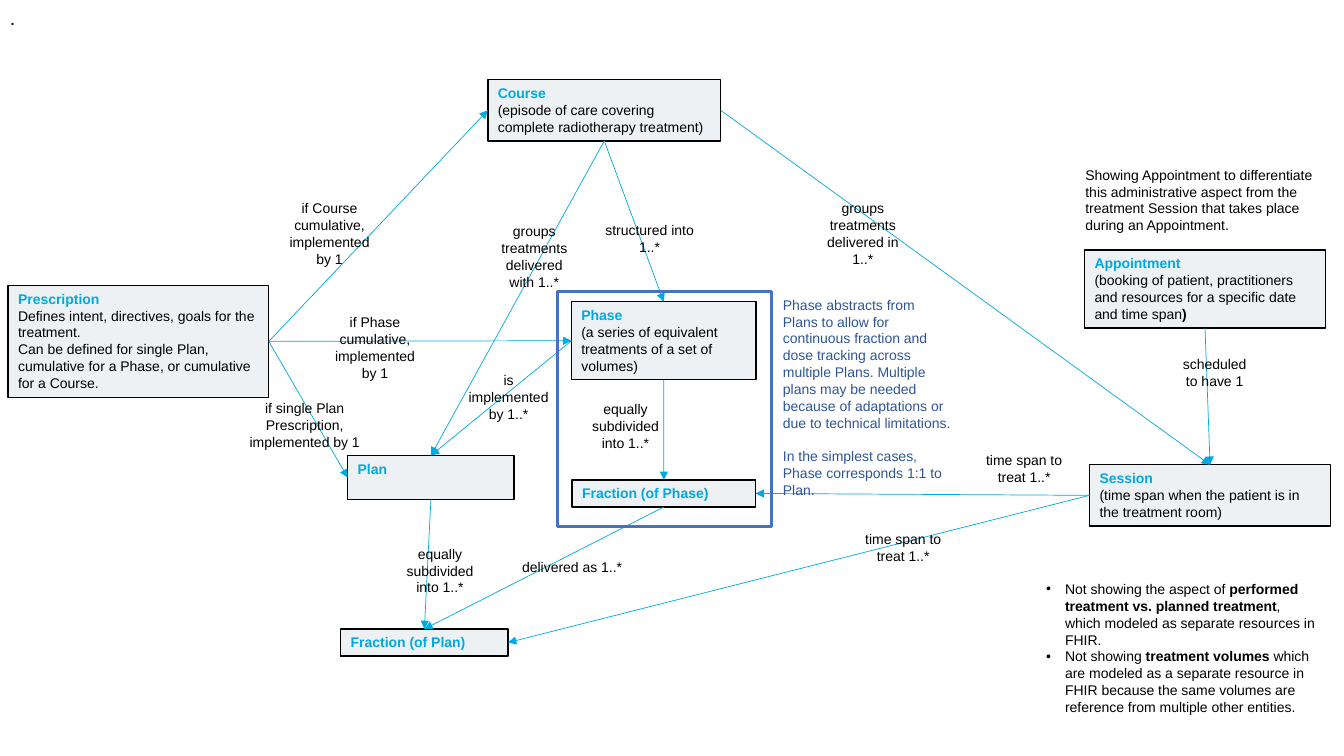
from dataclasses import dataclass
from typing import NamedTuple

from lxml import etree
from pptx import Presentation
from pptx.dml.color import RGBColor
from pptx.enum.shapes import MSO_CONNECTOR, MSO_SHAPE
from pptx.enum.text import MSO_ANCHOR, PP_ALIGN
from pptx.oxml.ns import qn
from pptx.util import Pt

RECTANGLE = MSO_SHAPE.RECTANGLE
STRAIGHT = MSO_CONNECTOR.STRAIGHT
ANCHOR_TOP = MSO_ANCHOR.TOP
LEFT_ALIGN, CENTER_ALIGN = PP_ALIGN.LEFT, PP_ALIGN.CENTER
TOP, LEFT, BOTTOM, RIGHT = range(4)  # connection sites of a rectangle

COLORS = {"text": "000000", "title": "00A9E0", "link": "00A9E0", "box": "EDF1F3",
          "border": "000000", "frame": "4472C4", "note": "2F5597"}
FONT = "Arial"
LINE_HEIGHT, VERTICAL_INSETS = 12.15, 7.2


class Span(NamedTuple):
    """A stretch of text with one format."""
    text: str
    bold: bool = False
    color: str = "text"


@dataclass(frozen=True)
class Entity:
    """A titled box of the model, as high as its lines of text."""
    title: str
    left: float
    top: float
    width: float
    lines: int
    body: tuple[tuple[Span, ...], ...] = ()


class Link(NamedTuple):
    """An arrow between the sides of two entities."""
    source: str
    source_side: int
    target: str
    target_side: int


class Label(NamedTuple):
    """Centred words beside a link; a line feed starts a new paragraph."""
    text: str
    left: float
    top: float
    width: float
    lines: int


ENTITIES = [
    Entity("Course", 348.5, 57, 166.3, 3,
           ((Span("(episode of care covering complete radiotherapy treatment)"),),)),
    Entity("Fraction (of Plan)", 243.4, 449.3, 119.5, 1),
    Entity("Prescription", 5.8, 203.8, 186.2, 6,
           ((Span("Defines intent, directives, goals for the treatment."),),
            (Span("Can be defined for single Plan, cumulative for a Phase, "
                  "or cumulative for a Course."),))),
    Entity("Phase", 408.2, 215.5, 131.8, 4,
           ((Span("(a series of equivalent treatments of a set of volumes)"),),)),
    Entity("Session", 778.3, 332, 172.1, 3,
           ((Span("(time span when the patient is in the treatment room)"),),)),
    Entity("Plan", 248.4, 325.4, 118.8, 2),
    Entity("Fraction (of Phase)", 408.7, 342.8, 131, 1),
    Entity("Appointment", 774.7, 178.5, 172.1, 4,
           ((Span("(booking of patient, practitioners and resources for a specific "
                  "date and time span"), Span(")", bold=True)),)),
]

LINKS = [
    Link("Prescription", RIGHT, "Course", LEFT),
    Link("Prescription", RIGHT, "Phase", LEFT),
    Link("Prescription", RIGHT, "Plan", LEFT),
    Link("Course", BOTTOM, "Phase", TOP),
    Link("Course", BOTTOM, "Plan", TOP),
    Link("Course", RIGHT, "Session", TOP),
    Link("Phase", LEFT, "Plan", TOP),
    Link("Phase", BOTTOM, "Fraction (of Phase)", TOP),
    Link("Plan", BOTTOM, "Fraction (of Plan)", TOP),
    Link("Fraction (of Phase)", BOTTOM, "Fraction (of Plan)", TOP),
    Link("Appointment", BOTTOM, "Session", TOP),
    Link("Session", LEFT, "Fraction (of Phase)", RIGHT),
    Link("Session", LEFT, "Fraction (of Plan)", RIGHT),
]

LABELS = [
    Label("if Course cumulative, implemented by 1", 199.4, 139, 72, 4),
    Label("if Phase cumulative, implemented by 1", 227.5, 220.5, 80.6, 4),
    Label("if single Plan Prescription, implemented by 1", 169, 281.8, 97.2, 3),
    Label("groups treatments delivered with 1..*", 346.3, 155.5, 70.6, 4),
    Label("groups treatments delivered in 1..*", 581, 139, 70.6, 4),
    Label("structured into 1..*", 418.3, 154.8, 91.4, 2),
    Label("is\nimplemented\nby 1..*", 326.9, 262, 72.7, 3),
    Label("equally subdivided into 1..*", 412.6, 282.5, 68.4, 3),
    Label("equally subdivided into 1..*", 280.1, 386, 68.4, 3),
    Label("delivered as 1..*", 351.4, 395.3, 114.5, 1),
    Label("time span to treat 1..*", 696.2, 319, 70.6, 2),
    Label("time span to treat 1..*", 609.8, 375.3, 70.6, 2),
    Label("scheduled to have 1", 832.3, 250.5, 70.6, 2),
]

PHASE_NOTE = [
    [Span("Phase abstracts from Plans to allow for continuous fraction and dose tracking "
          "across multiple Plans. Multiple plans may be needed because of adaptations or "
          "due to technical limitations.", color="note")],
    [Span("In the simplest cases, Phase corresponds 1:1 to Plan.", color="note")],
]
APPOINTMENT_NOTE = [[Span(
    "Showing Appointment to differentiate this administrative aspect from the treatment "
    "Session that takes place during an Appointment.")]]
SCOPE_NOTE = [
    [Span("Not showing the aspect of "),
     Span("performed treatment vs. planned treatment", bold=True),
     Span(", which modeled as separate resources in FHIR.")],
    [Span("Not showing "), Span("treatment volumes ", bold=True),
     Span("which are modeled as a separate resource in FHIR because the same volumes are "
          "reference from multiple other entities.")],
]


def text_height(lines: int) -> float:
    """Return the height that holds the given number of lines."""
    return VERTICAL_INSETS + LINE_HEIGHT * lines


def write_text(shape, paragraphs, *, size=10, align=LEFT_ALIGN, gap=0, spacing=None,
               bullet_indent=0) -> None:
    """Fill a shape with paragraphs of spans."""
    frame = shape.text_frame
    frame.word_wrap = True
    frame.vertical_anchor = ANCHOR_TOP
    for index, spans in enumerate(paragraphs):
        paragraph = frame.add_paragraph() if index else frame.paragraphs[0]
        paragraph.alignment = align
        paragraph.line_spacing = spacing
        paragraph.space_before = Pt(gap if index else 0)
        if bullet_indent:
            properties = paragraph._p.get_or_add_pPr()
            properties.set("marL", str(Pt(bullet_indent)))
            properties.set("indent", str(-Pt(bullet_indent)))
            etree.SubElement(properties, qn("a:buFont")).set("typeface", FONT)
            etree.SubElement(properties, qn("a:buChar")).set("char", "•")
        for span in spans:
            run = paragraph.add_run()
            run.text = span.text
            run.font.name, run.font.size, run.font.bold = FONT, Pt(size), span.bold
            run.font.color.rgb = RGBColor.from_string(COLORS[span.color])


def add_text(slide, paragraphs, left: float, top: float, width: float, height: float,
             **text_format) -> None:
    """Add a text box."""
    shape = slide.shapes.add_textbox(Pt(left), Pt(top), Pt(width), Pt(height))
    write_text(shape, paragraphs, **text_format)


def add_rectangle(slide, left: float, top: float, width: float, height: float, *,
                  line: str, weight: float, fill: str = ""):
    """Add a rectangle, hollow unless a fill is named."""
    shape = slide.shapes.add_shape(RECTANGLE, Pt(left), Pt(top), Pt(width), Pt(height))
    shape.shadow.inherit = False
    shape.line.color.rgb = RGBColor.from_string(COLORS[line])
    shape.line.width = Pt(weight)
    if fill:
        shape.fill.solid()
        shape.fill.fore_color.rgb = RGBColor.from_string(COLORS[fill])
    else:
        shape.fill.background()
    return shape


def add_entity(slide, entity: Entity):
    """Draw an entity with its title and description."""
    shape = add_rectangle(slide, entity.left, entity.top, entity.width,
                          text_height(entity.lines), line="border", weight=1, fill="box")
    write_text(shape, [[Span(entity.title, True, "title")], *entity.body])
    return shape


def add_link(slide, link: Link, boxes: dict) -> None:
    """Draw an arrow glued to two entity boxes."""
    connector = slide.shapes.add_connector(STRAIGHT, 0, 0, 0, 0)
    connector.begin_connect(boxes[link.source], link.source_side)
    connector.end_connect(boxes[link.target], link.target_side)
    connector.line.color.rgb = RGBColor.from_string(COLORS["link"])
    connector.line.width = Pt(0.5)
    etree.SubElement(connector.line._get_or_add_ln(), qn("a:tailEnd")).set("type", "triangle")
    etree.SubElement(connector._element.spPr, qn("a:effectLst"))


def main() -> None:
    """Build and save the radiotherapy model slide."""
    presentation = Presentation()
    presentation.slide_width, presentation.slide_height = Pt(960), Pt(540)
    slide = presentation.slides.add_slide(presentation.slide_layouts[6])
    add_text(slide, [[Span(".")]], 0, 2.2, 885.6, 49, size=14, spacing=0.9)
    boxes = {entity.title: add_entity(slide, entity) for entity in ENTITIES}
    for link in LINKS:
        add_link(slide, link, boxes)
    add_rectangle(slide, 398.2, 208.1, 152.6, 167.8, line="frame", weight=2.25)
    for label in LABELS:
        add_text(slide, [[Span(line)] for line in label.text.split("\n")], label.left,
                 label.top, label.width, text_height(label.lines), align=CENTER_ALIGN)
    add_text(slide, PHASE_NOTE, 552.2, 208.1, 133.9, 38.2, gap=12)
    add_text(slide, APPOINTMENT_NOTE, 768.2, 115.2, 188.6, text_height(4))
    add_text(slide, SCOPE_NOTE, 740.2, 411.1, 207.4, text_height(8), bullet_indent=13.5)
    presentation.save("out.pptx")


main()
